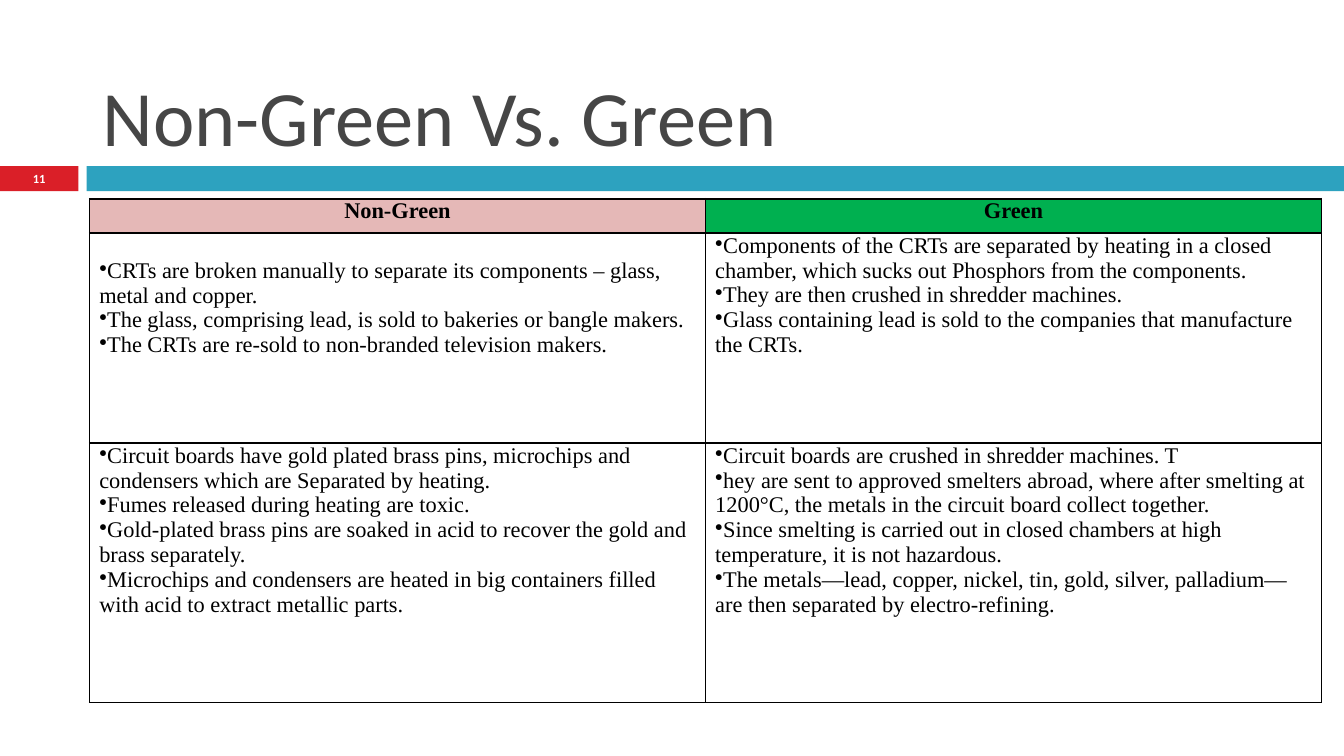
from lxml import etree
from pptx import Presentation
from pptx.dml.color import RGBColor
from pptx.enum.shapes import MSO_SHAPE
from pptx.enum.text import MSO_ANCHOR, PP_ALIGN
from pptx.oxml.ns import qn
from pptx.util import Pt

RECT = MSO_SHAPE.RECTANGLE
TOP, MIDDLE, BOTTOM = MSO_ANCHOR.TOP, MSO_ANCHOR.MIDDLE, MSO_ANCHOR.BOTTOM
LEFT, CENTER = PP_ALIGN.LEFT, PP_ALIGN.CENTER

RED = RGBColor(0xDA, 0x1F, 0x28)
TEAL = RGBColor(0x2D, 0xA2, 0xBF)
GRAY = RGBColor(0x46, 0x46, 0x46)
PINK = RGBColor(0xE5, 0xB8, 0xB7)
GREEN = RGBColor(0x00, 0xB0, 0x50)
BLACK = RGBColor(0, 0, 0)
WHITE = RGBColor(0xFF, 0xFF, 0xFF)

TITLE = "Non-Green Vs. Green"
PAGE = "11"
HEADERS = [("Non-Green", PINK), ("Green", GREEN)]
ROWS = [
    (
        [
            "CRTs are broken manually to separate its components – glass, metal and copper.",
            "The glass, comprising lead, is sold to bakeries or bangle makers.",
            "The CRTs are re-sold to non-branded television makers.",
        ],
        [
            "Components of the CRTs are separated by heating in a closed chamber, which sucks out Phosphors from the components.",
            "They are then crushed in shredder machines.",
            "Glass containing lead is sold to the companies that manufacture the CRTs.",
        ],
    ),
    (
        [
            "Circuit boards have gold plated brass pins, microchips and condensers which are Separated by heating.",
            "Fumes released during heating are toxic.",
            "Gold-plated brass pins are soaked in acid to recover the gold and brass separately.",
            "Microchips and condensers are heated in big containers filled with acid to extract metallic parts.",
        ],
        [
            "Circuit boards are crushed in shredder machines. T",
            "hey are sent to approved smelters abroad, where after smelting at 1200°C, the metals in the circuit board collect together.",
            "Since smelting is carried out in closed chambers at high temperature, it is not hazardous.",
            "The metals—lead, copper, nickel, tin, gold, silver, palladium—are then separated by electro-refining.",
        ],
    ),
]

SLIDE_W, SLIDE_H = 720, 405
BAR_TOP, BAR_H = 89, 13.5
BADGE_W, BAR_LEFT = 42, 46.5
TABLE_LEFT, TABLE_TOP, TABLE_W = 48, 106.5, 660
ROW_HEIGHTS = [18.5, 112.5, 139]
CELL_INSET = 5.2
FIRST_CELL_DROP = 13.4


def write(tf, lines, font="Times New Roman", size=12, color=BLACK, bold=False,
          align=LEFT, bullet=None):
    for i, line in enumerate(lines):
        p = tf.paragraphs[0] if i == 0 else tf.add_paragraph()
        p.alignment = align
        if bullet:
            pPr = p._p.get_or_add_pPr()
            pPr.set("marL", "0")
            pPr.set("indent", "0")
            etree.SubElement(pPr, qn("a:buChar"), char=bullet)
        r = p.add_run()
        r.text = line
        r.font.name = font
        r.font.size = Pt(size)
        r.font.bold = bold
        r.font.color.rgb = color


def add_bar(slide, left, width, color):
    sp = slide.shapes.add_shape(RECT, Pt(left), Pt(BAR_TOP), Pt(width), Pt(BAR_H))
    sp.shadow.inherit = False
    sp.fill.solid()
    sp.fill.fore_color.rgb = color
    sp.line.fill.background()
    return sp


def set_margins(obj, left, top, right, bottom):
    obj.margin_left, obj.margin_top = Pt(left), Pt(top)
    obj.margin_right, obj.margin_bottom = Pt(right), Pt(bottom)


def set_borders(cell):
    tcPr = cell._tc.get_or_add_tcPr()
    for i, side in enumerate(("lnL", "lnR", "lnT", "lnB")):
        ln = etree.Element(qn(f"a:{side}"), w=str(Pt(1)))
        fill = etree.SubElement(ln, qn("a:solidFill"))
        etree.SubElement(fill, qn("a:srgbClr"), val=str(BLACK))
        tcPr.insert(i, ln)


def format_cell(cell, fill=None, top=0):
    set_margins(cell, CELL_INSET, top, CELL_INSET, 0)
    cell.vertical_anchor = TOP
    if fill is None:
        cell.fill.background()
    else:
        cell.fill.solid()
        cell.fill.fore_color.rgb = fill
    set_borders(cell)


def add_comparison(slide):
    table = slide.shapes.add_table(
        len(ROW_HEIGHTS), len(HEADERS), Pt(TABLE_LEFT), Pt(TABLE_TOP),
        Pt(TABLE_W), Pt(sum(ROW_HEIGHTS))).table
    for row, height in zip(table.rows, ROW_HEIGHTS):
        row.height = Pt(height)
    for c, (header, fill) in enumerate(HEADERS):
        table.columns[c].width = Pt(TABLE_W / len(HEADERS))
        cell = table.cell(0, c)
        format_cell(cell, fill)
        write(cell.text_frame, [header], bold=True, align=CENTER)
    for r, row in enumerate(ROWS, 1):
        for c, lines in enumerate(row):
            cell = table.cell(r, c)
            format_cell(cell, top=FIRST_CELL_DROP if (r, c) == (1, 0) else 0)
            write(cell.text_frame, lines, bullet="•")


def main():
    prs = Presentation()
    prs.slide_width, prs.slide_height = Pt(SLIDE_W), Pt(SLIDE_H)
    slide = prs.slides.add_slide(prs.slide_layouts[6])

    badge = add_bar(slide, 0, BADGE_W, RED)
    add_bar(slide, BAR_LEFT, SLIDE_W - BAR_LEFT, TEAL)
    tf = badge.text_frame
    set_margins(tf, 0, 0, 0, 0)
    tf.vertical_anchor = MIDDLE
    write(tf, [PAGE], font="Calibri", size=6.7, color=WHITE, bold=True, align=CENTER)

    tf = slide.shapes.add_textbox(Pt(48), Pt(9.5), Pt(642), Pt(79)).text_frame
    tf.word_wrap = True
    tf.vertical_anchor = BOTTOM
    set_margins(tf, 7.2, 0, 7.2, 1.5)
    write(tf, [TITLE], font="Calibri", size=42, color=GRAY)

    add_comparison(slide)
    prs.save("out.pptx")


if __name__ == "__main__":
    main()
